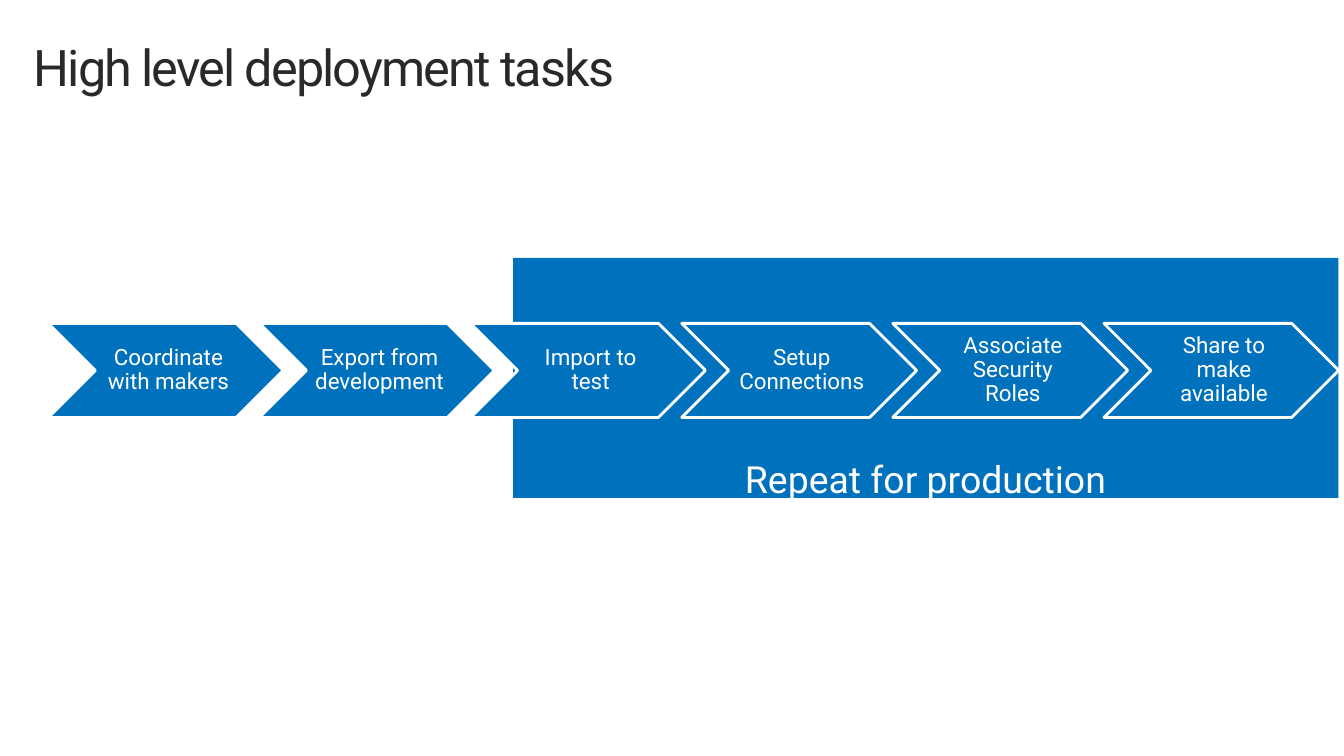
from pptx import Presentation
from pptx.dml.color import RGBColor
from pptx.enum.shapes import MSO_SHAPE
from pptx.enum.text import MSO_ANCHOR, PP_ALIGN
from pptx.util import Cm, Pt

BLUE = RGBColor(0x00, 0x71, 0xBC)
WHITE = RGBColor(0xFF, 0xFF, 0xFF)
DARK = RGBColor(0x29, 0x29, 0x29)
FONT = "Roboto"
STEPS = [
    "Coordinate with makers",
    "Export from development",
    "Import to test",
    "Setup Connections",
    "Associate Security Roles",
    "Share to make available",
]
LEFT, PITCH = 1.22, 5.32


def write(shape, text, size, color, align, lead, pads):
    """Fill a shape with one styled, vertically centred paragraph."""
    frame = shape.text_frame
    frame.text = text
    frame.word_wrap = True
    frame.vertical_anchor = MSO_ANCHOR.MIDDLE
    (frame.margin_left, frame.margin_top,
     frame.margin_right, frame.margin_bottom) = [Cm(pad) for pad in pads]
    para = frame.paragraphs[0]
    para.alignment = align
    para.line_spacing = lead
    font = para.runs[0].font
    font.name = FONT
    font.size = Pt(size)
    font.color.rgb = color


def add_title(slide, text):
    """Add the slide title with tightened letter spacing."""
    box = slide.shapes.add_textbox(Cm(0.85), Cm(0.64), Cm(32.18), Cm(2.24))
    write(box, text, 36, DARK, PP_ALIGN.LEFT, 0.9, (0, 0.13, 0, 0.13))
    run = box.text_frame.paragraphs[0].runs[0]
    run.font._element.set("spc", "-130")


def add_block(slide, kind, left, top, width, height):
    """Add a flat blue preset shape without an outline."""
    shape = slide.shapes.add_shape(
        kind, Cm(left), Cm(top), Cm(width), Cm(height))
    shape.shadow.inherit = False
    shape.fill.solid()
    shape.fill.fore_color.rgb = BLUE
    shape.line.fill.background()
    return shape


def add_panel(slide, text):
    """Add the panel behind the steps that are repeated."""
    panel = add_block(slide, MSO_SHAPE.RECTANGLE, 12.93, 6.5, 20.8, 6.05)
    write(panel, text, 26.7, WHITE, PP_ALIGN.CENTER, 5.5,
          (0.33, 0.18, 0.33, 0.18))


def add_step(slide, index, text):
    """Add one white-edged chevron of the process."""
    step = add_block(slide, MSO_SHAPE.CHEVRON,
                     LEFT + index * PITCH, 8.15, 5.92, 2.37)
    step.line.color.rgb = WHITE
    step.line.width = Pt(2)
    write(step, text, 16, WHITE, PP_ALIGN.CENTER, 0.9,
          (0.18, 0.05, 0.05, 0.05))


def main():
    """Build the deployment slide and save it."""
    deck = Presentation()
    deck.slide_width, deck.slide_height = Cm(33.87), Cm(19.05)
    slide = deck.slides.add_slide(deck.slide_layouts[6])
    add_title(slide, "High level deployment tasks")
    add_panel(slide, "Repeat for production")
    for index, text in enumerate(STEPS):
        add_step(slide, index, text)
    deck.save("out.pptx")


if __name__ == "__main__":
    main()
